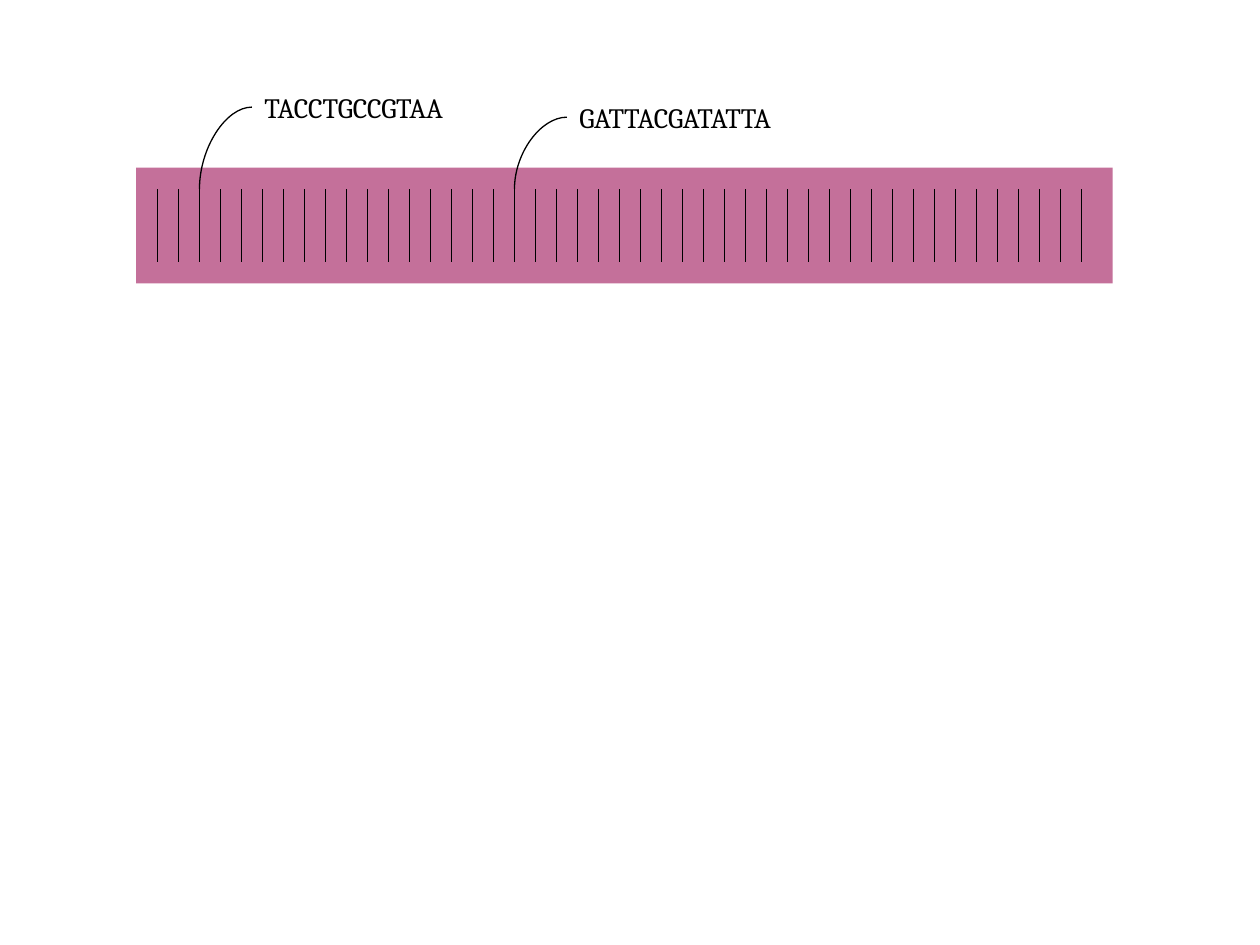
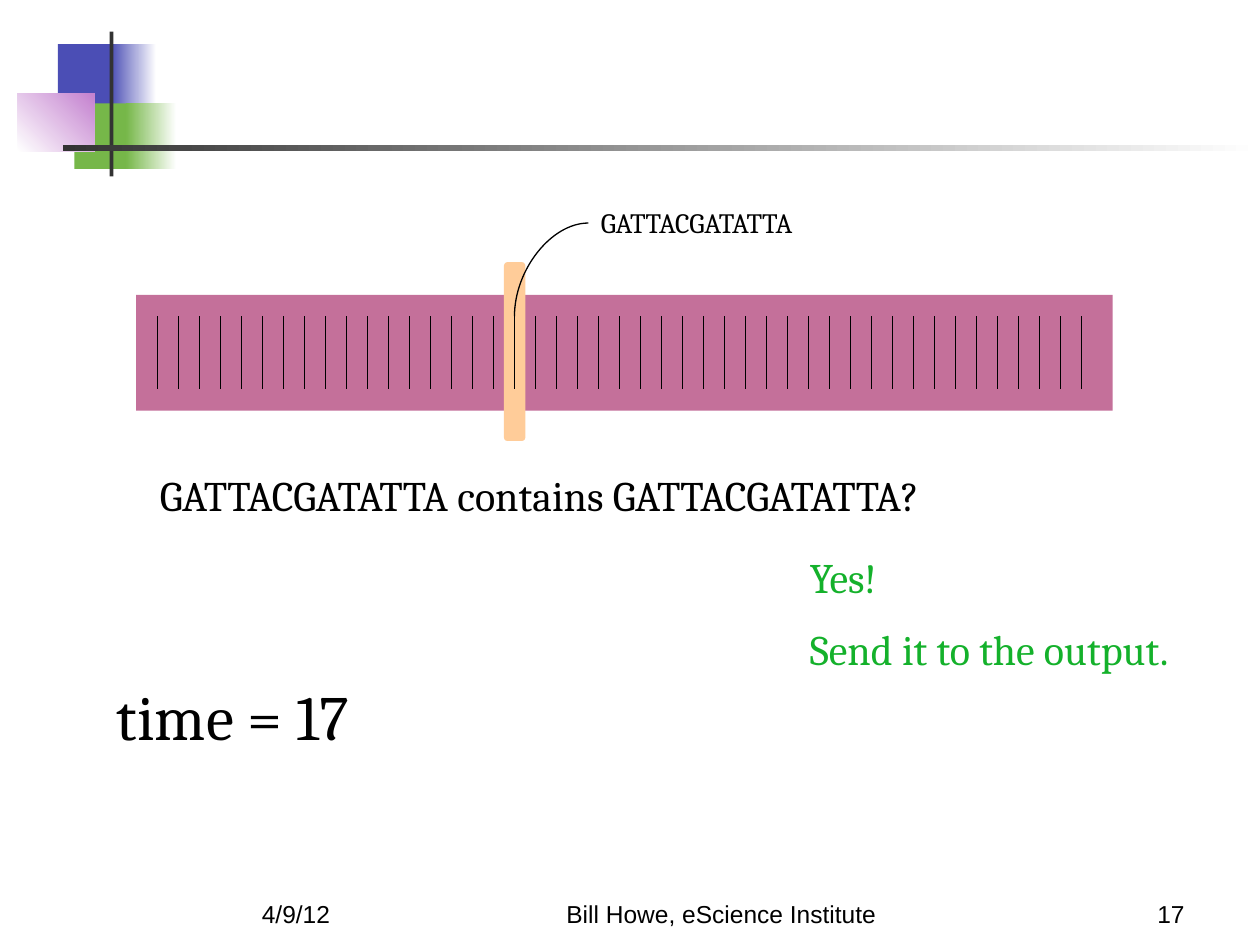
from dataclasses import dataclass
from typing import Optional

from lxml import etree
from pptx import Presentation
from pptx import util as u
from pptx.dml.color import RGBColor
from pptx.enum import shapes, text
from pptx.oxml import ns

HUES = {
    "ink": "000000", "white": "FFFFFF", "rose": "C4709A", "peach": "FFCC99",
    "yes": "14B12B", "blue": "4B4EB5", "green": "76B749", "lilac": "C481CF",
    "dark": "333333",
}
TICKS = 45
FIRST = 1.25
STEP = 1 / 6
RECT = shapes.MSO_SHAPE.RECTANGLE
ROUND = shapes.MSO_SHAPE.ROUNDED_RECTANGLE
LEFT, MID, RIGHT = text.PP_ALIGN.LEFT, text.PP_ALIGN.CENTER, text.PP_ALIGN.RIGHT


@dataclass
class Block:
    left: float
    top: float
    width: float
    height: float
    hue: str
    fade: Optional[str] = None
    angle: float = 0
    kind: int = RECT


@dataclass
class Label:
    left: float
    top: float
    width: float
    height: float
    lines: tuple[str, ...]
    size: float
    hue: str = "ink"
    font: str = "Cambria"
    align: int = LEFT
    wrap: bool = False
    foot: bool = False


@dataclass
class Lead:
    tick: int
    low: float
    right: float
    high: float


DECOR = (
    Block(0.46, 0.35, 0.48, 0.52, "blue"),
    Block(0.88, 0.35, 0.36, 0.52, "blue", "white"),
    Block(0.59, 0.82, 0.46, 0.52, "green"),
    Block(1, 0.82, 0.4, 0.52, "green", "white"),
    Block(0.14, 0.74, 0.61, 0.46, "white", "lilac", 45),
    Block(0.87, 0.25, 0.03, 1.15, "dark"),
    Block(0.5, 1.15, 9.5, 0.05, "dark", "white"),
)


def footer(left: float, width: float, words: str, align: int) -> Label:
    return Label(left, 6.92, width, 0.5, (words,), 14, font="Arial",
                 align=align, wrap=True, foot=True)


FOOTERS = (
    footer(1.98, 2.08, "4/9/12", LEFT),
    footer(4.14, 3.17, "Bill Howe, eScience Institute", MID),
    footer(7.42, 2.08, "17", RIGHT),
)


def paint(name: str) -> RGBColor:
    return RGBColor.from_string(HUES[name])


def place(item) -> tuple:
    return tuple(u.Inches(n) for n in (item.left, item.top, item.width, item.height))


def tick_x(index: int) -> float:
    return FIRST + index * STEP


def draw_block(slide, block: Block) -> None:
    shape = slide.shapes.add_shape(block.kind, *place(block))
    shape.shadow.inherit = False
    shape.line.fill.background()
    if block.fade:
        shape.fill.gradient()
        shape.fill.gradient_angle = block.angle
        for stop, hue in zip(shape.fill.gradient_stops, (block.hue, block.fade)):
            stop.color.rgb = paint(hue)
    else:
        shape.fill.solid()
        shape.fill.fore_color.rgb = paint(block.hue)


def draw_label(slide, label: Label) -> None:
    frame = slide.shapes.add_textbox(*place(label)).text_frame
    frame.word_wrap = label.wrap
    if label.foot:
        frame.vertical_anchor = text.MSO_ANCHOR.BOTTOM
    else:
        frame.auto_size = text.MSO_AUTO_SIZE.SHAPE_TO_FIT_TEXT
    for index, words in enumerate(label.lines):
        para = frame.add_paragraph() if index else frame.paragraphs[0]
        para.alignment = label.align
        if index:
            para.space_before = u.Pt(label.size / 2)
        run = para.add_run()
        run.text = words
        run.font.size = u.Pt(label.size)
        run.font.name = label.font
        run.font.color.rgb = paint(label.hue)


def draw_line(slide, kind: int, x1: float, y1: float, x2: float, y2: float):
    ends = (u.Inches(n) for n in (x1, y1, x2, y2))
    line = slide.shapes.add_connector(kind, *ends)
    line.line.color.rgb = paint("ink")
    line.line.width = u.Pt(0.75)
    etree.SubElement(line.element.spPr, ns.qn("a:effectLst"))
    return line


def draw_ticks(slide, top: float) -> None:
    for index in range(TICKS):
        x = tick_x(index)
        draw_line(slide, shapes.MSO_CONNECTOR.STRAIGHT, x, top, x, top + 0.58)


def draw_lead(slide, lead: Lead) -> None:
    left = tick_x(lead.tick)
    run, rise = lead.right - left, lead.low - lead.high
    x, y = (left + lead.right) / 2, (lead.low + lead.high) / 2
    curve = draw_line(slide, shapes.MSO_CONNECTOR.CURVE,
                      x - rise / 2, y - run / 2, x + rise / 2, y + run / 2)
    props = curve.element.spPr
    props.find(ns.qn("a:xfrm")).set("rot", str(270 * 60000))
    props.find(ns.qn("a:prstGeom")).set("prst", "curvedConnector2")


def draw_bar(slide, top: float) -> None:
    draw_block(slide, Block(1.08, top, 7.75, 0.92, "rose"))


def draw_reads(slide) -> None:
    draw_bar(slide, 1.33)
    draw_ticks(slide, 1.5)
    draw_label(slide, Label(4.5, 0.75, 2.14, 0.37, ("GATTACGATATTA",), 16))
    draw_lead(slide, Lead(17, 1.5, 4.5, 0.93))
    draw_label(slide, Label(2, 0.67, 2, 0.37, ("TACCTGCCGTAA",), 16))
    draw_lead(slide, Lead(2, 1.5, 2, 0.85))


def draw_match(slide) -> None:
    for block in DECOR:
        draw_block(slide, block)
    for label in FOOTERS:
        draw_label(slide, label)
    draw_bar(slide, 2.34)
    draw_block(slide, Block(4, 2.08, 0.17, 1.42, "peach", kind=ROUND))
    for label in (
        Label(1.17, 3.68, 7.48, 0.5, ("GATTACGATATTA contains GATTACGATATTA?",), 24),
        Label(4.67, 1.58, 2.14, 0.37, ("GATTACGATATTA",), 16),
        Label(0.83, 5.33, 2.12, 0.7, ("time = 17",), 36),
        Label(6.33, 4.33, 3.08, 1.1, ("Yes!", "Send it to the output."), 24,
              "yes", wrap=True),
    ):
        draw_label(slide, label)
    draw_ticks(slide, 2.51)
    draw_lead(slide, Lead(17, 2.51, 4.67, 1.77))


def main() -> None:
    deck = Presentation()
    deck.slide_width, deck.slide_height = u.Inches(10), u.Inches(7.5)
    for draw in (draw_reads, draw_match):
        draw(deck.slides.add_slide(deck.slide_layouts[6]))
    deck.save("out.pptx")


if __name__ == "__main__":
    main()
